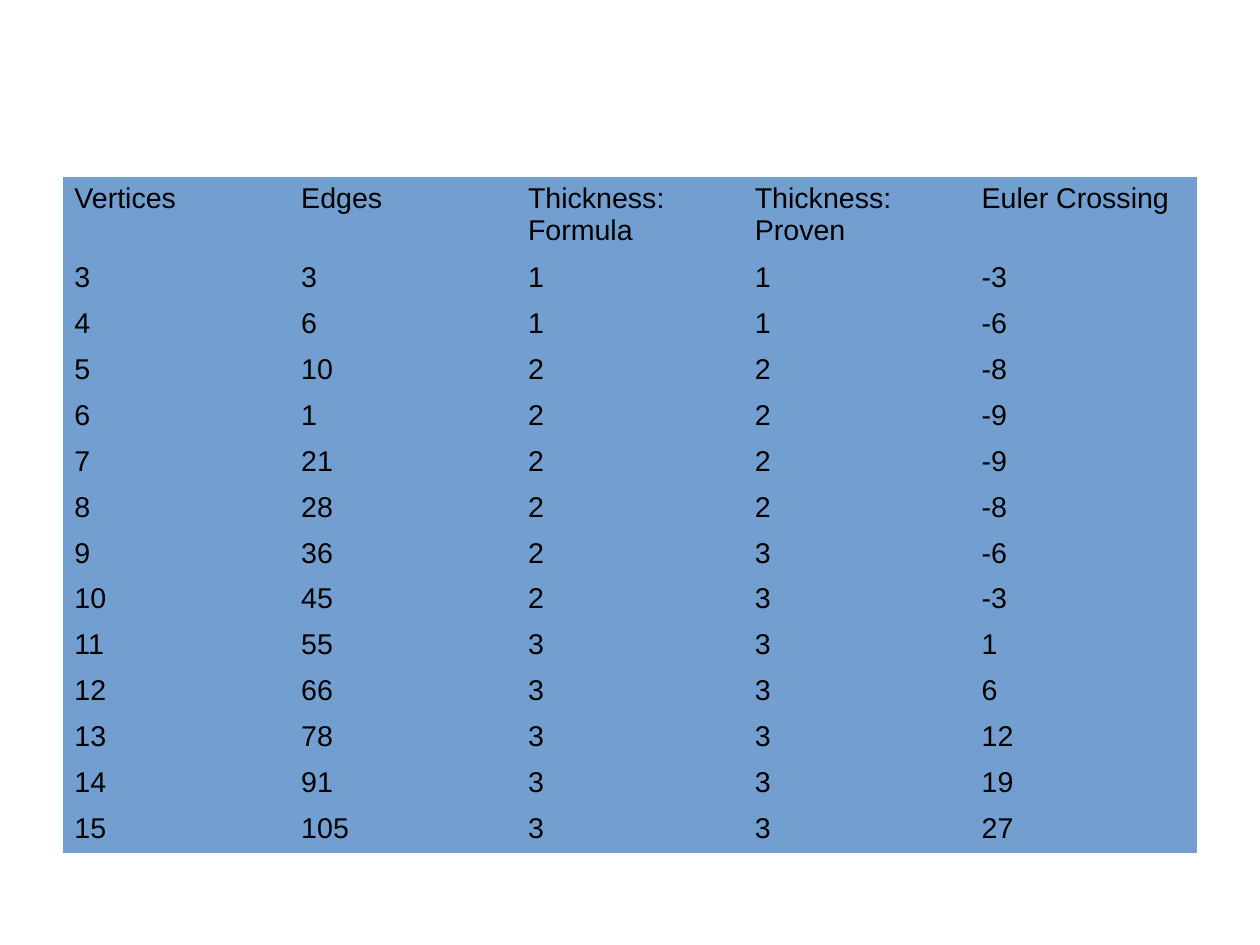
from dataclasses import dataclass

from lxml import etree
from pptx import Presentation
from pptx.dml.color import RGBColor
from pptx.oxml.ns import qn
from pptx.table import Table, _Cell
from pptx.util import Cm, Pt

BLANK_LAYOUT = 6
FONT = "Arial"
TEXT_COLOUR = "000000"
CELL_COLOUR = "729FCF"
HEADINGS = ("Vertices", "Edges", "Thickness: Formula",
            "Thickness: Proven", "Euler Crossing")


@dataclass
class Graph:
    vertices: int
    edges: int
    formula: int
    proven: int
    crossing: int

    def values(self) -> tuple[str, ...]:
        return tuple(str(v) for v in (self.vertices, self.edges, self.formula,
                                      self.proven, self.crossing))


GRAPHS = [
    Graph(3, 3, 1, 1, -3),
    Graph(4, 6, 1, 1, -6),
    Graph(5, 10, 2, 2, -8),
    Graph(6, 1, 2, 2, -9),
    Graph(7, 21, 2, 2, -9),
    Graph(8, 28, 2, 2, -8),
    Graph(9, 36, 2, 3, -6),
    Graph(10, 45, 2, 3, -3),
    Graph(11, 55, 3, 3, 1),
    Graph(12, 66, 3, 3, 6),
    Graph(13, 78, 3, 3, 12),
    Graph(14, 91, 3, 3, 19),
    Graph(15, 105, 3, 3, 27),
]


def rgb(colour: str) -> RGBColor:
    return RGBColor.from_string(colour)


def clear_borders(cell: _Cell) -> None:
    tc_pr = cell._tc.get_or_add_tcPr()
    for side in ("a:lnL", "a:lnR", "a:lnT", "a:lnB"):
        ln = etree.SubElement(tc_pr, qn(side), w="0")
        etree.SubElement(ln, qn("a:noFill"))


def fill_cell(cell: _Cell, text: str) -> None:
    clear_borders(cell)
    cell.fill.solid()
    cell.fill.fore_color.rgb = rgb(CELL_COLOUR)
    r = cell.text_frame.paragraphs[0].add_run()
    r.text = text
    r.font.name = FONT
    r.font.size = Pt(18)
    r.font.bold = False
    r.font.color.rgb = rgb(TEXT_COLOUR)


def fill_table(table: Table, rows: list[tuple[str, ...]]) -> None:
    table.first_row = False
    table.horz_banding = False
    for column in table.columns:
        column.width = Cm(5.04)
    for i, values in enumerate(rows):
        table.rows[i].height = Cm(1.02 if i else 1.75)
        for j, text in enumerate(values):
            fill_cell(table.cell(i, j), text)


def main() -> None:
    prs = Presentation()
    prs.slide_width, prs.slide_height = Cm(28), Cm(21)
    s = prs.slides.add_slide(prs.slide_layouts[BLANK_LAYOUT])

    # Thickness table: a heading row, then one row per graph
    rows = [HEADINGS] + [graph.values() for graph in GRAPHS]
    frame = s.shapes.add_table(len(rows), len(HEADINGS),
                               Cm(1.4), Cm(3.94), Cm(25.2), Cm(15))
    fill_table(frame.table, rows)

    prs.save("out.pptx")


if __name__ == "__main__":
    main()
